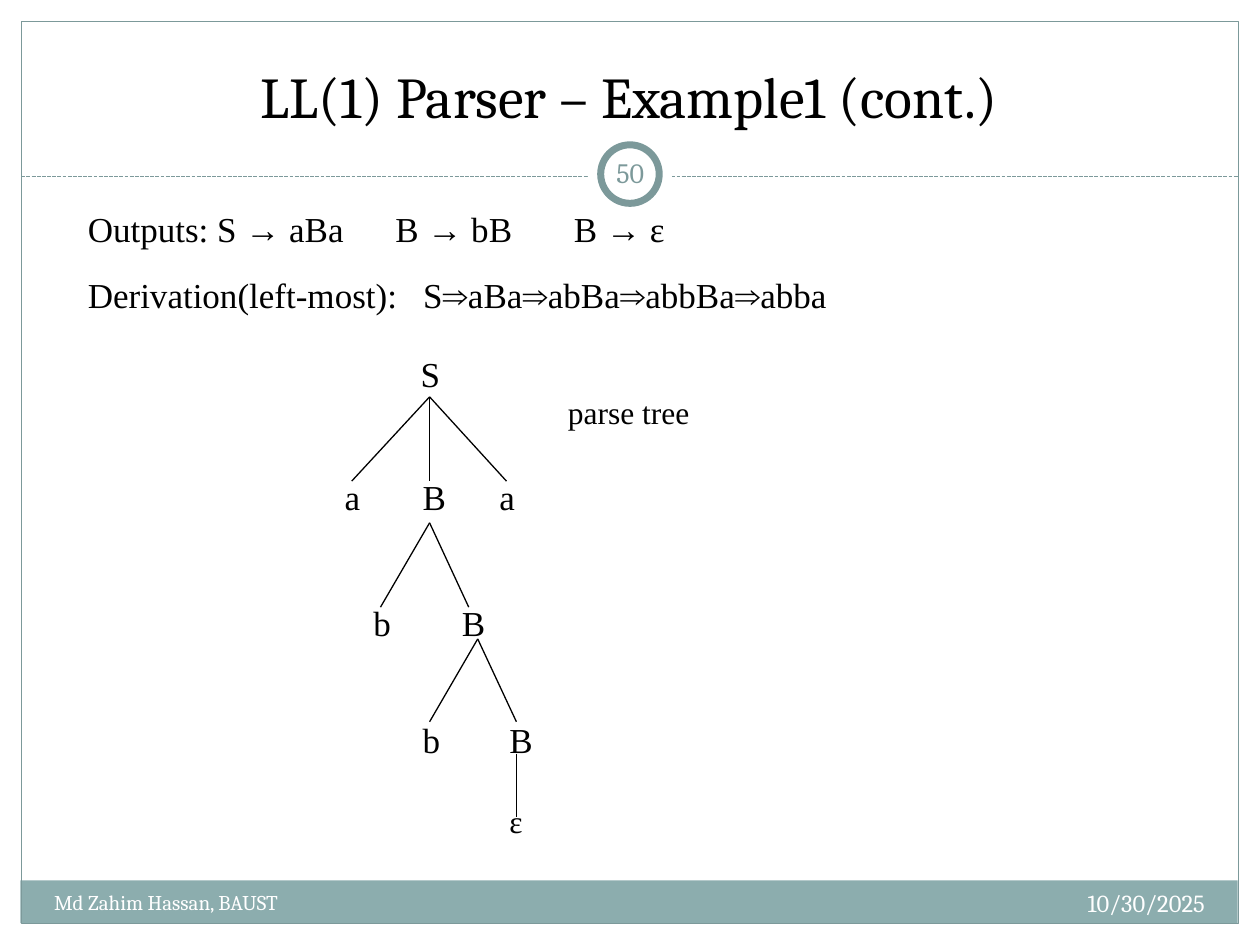
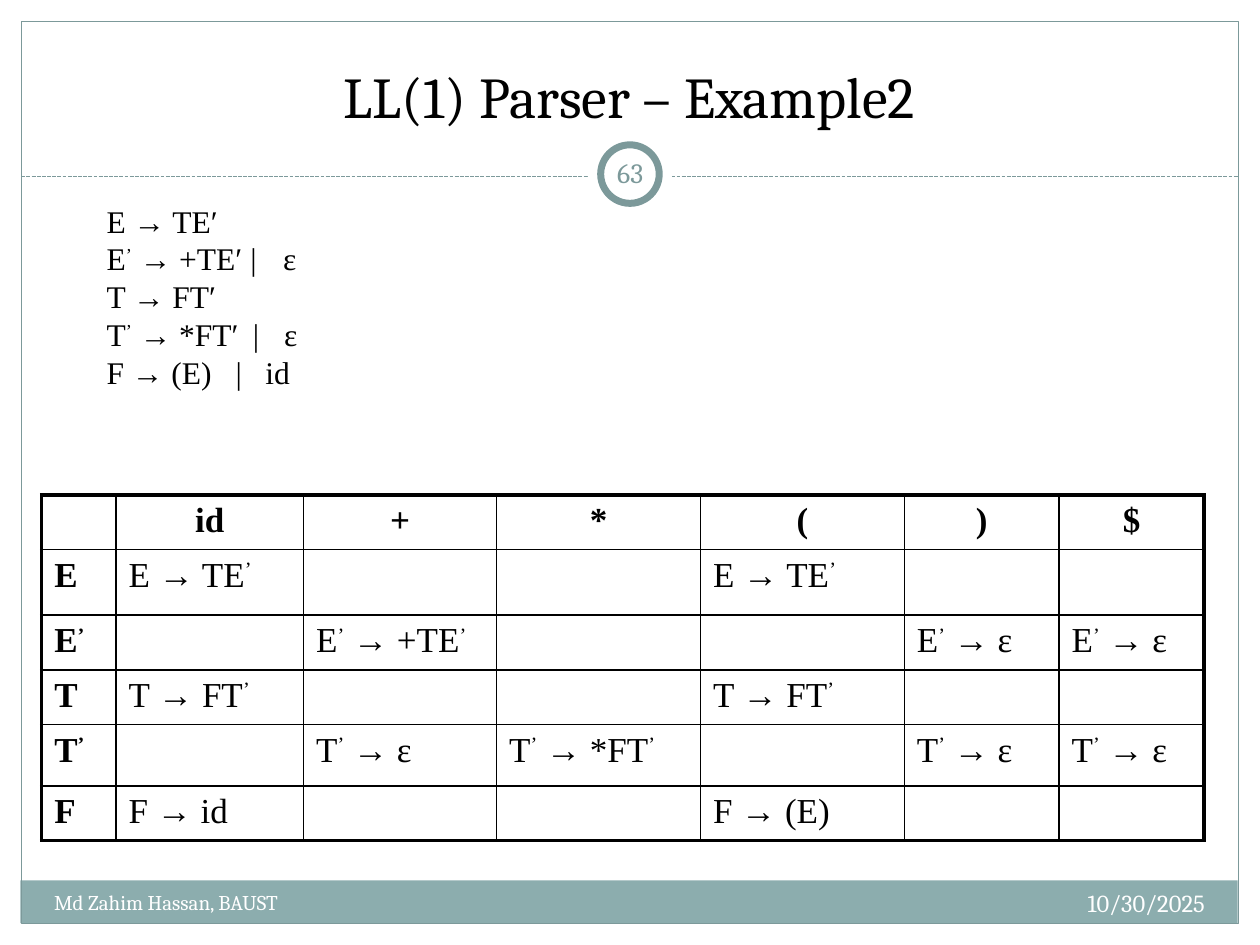
from lxml.etree import SubElement, Element
from pptx import Presentation
from pptx.dml.color import RGBColor
from pptx.enum.dml import MSO_LINE
from pptx.enum.shapes import MSO_CONNECTOR, MSO_SHAPE
from pptx.enum.text import MSO_ANCHOR, PP_ALIGN
from pptx.oxml.ns import qn
from pptx.util import Cm, Pt

COLORS = {k: RGBColor.from_string(v) for k, v in {
    "text": "000000", "white": "FFFFFF", "line": "7C999A", "band": "8CADAE"}.items()}
HEAD, BODY = "Cambria", "Times New Roman"
SLIDES = [("LL(1) Parser – Example1 (cont.)", "50"), ("LL(1) Parser – Example2", "63")]


def write(tf, lines, size, font=BODY, color="text", align=PP_ALIGN.LEFT, bold=False, tabs=()):
    """Fill a text frame, raising every ’; tabs holds the stops in cm for each line."""
    for i, line in enumerate(lines):
        p = tf.paragraphs[0] if i == 0 else tf.add_paragraph()
        p.alignment = align
        if tabs:
            tab_list = SubElement(p._p.get_or_add_pPr(), qn("a:tabLst"))
            for stop in tabs[i]:
                SubElement(tab_list, qn("a:tab"), pos=str(Cm(stop)), algn="l")
        p.font.size, p.font.name, p.font.bold = Pt(size), font, bold
        p.font.color.rgb = COLORS[color]
        for part in line.replace("’", "\n’\n").split("\n"):
            if part:
                r = p.add_run()
                r.text = part
                if part == "’":
                    r._r.get_or_add_rPr().set("baseline", "30000")


def text(s, box, lines, size, anchor=MSO_ANCHOR.TOP, **style):
    tf = s.shapes.add_textbox(*map(Cm, box)).text_frame
    tf.word_wrap = True
    tf.vertical_anchor = anchor
    write(tf, lines, size, **style)
    return tf


prs = Presentation()
prs.slide_width, prs.slide_height = Cm(25.4), Cm(19.05)

# Frame, footer, title and number badge
FRAME = [  # shape, box, fill, line width
    (MSO_SHAPE.RECTANGLE, (0.41, 17.75, 24.54, 0.86), "band", 0),
    (MSO_SHAPE.RECTANGLE, (0.43, 0.43, 24.54, 18.19), None, 0.75),
    (MSO_SHAPE.OVAL, (11.85, 2.66, 1.7, 1.7), "white", 0),
    (MSO_SHAPE.OVAL, (12.11, 2.92, 1.18, 1.18), "white", 4),
]
for title, number in SLIDES:
    s = prs.slides.add_slide(prs.slide_layouts[6])
    rule = s.shapes.add_connector(MSO_CONNECTOR.STRAIGHT, *map(Cm, (0.43, 3.56, 24.97, 3.56)))
    rule.line.color.rgb, rule.line.width = COLORS["line"], Pt(0.75)
    rule.line.dash_style = MSO_LINE.SQUARE_DOT
    SubElement(rule._element.spPr, qn("a:effectLst"))
    for kind, box, fill, width in FRAME:
        sp = s.shapes.add_shape(kind, *map(Cm, box))
        sp.shadow.inherit = False
        if fill:
            sp.fill.solid()
            sp.fill.fore_color.rgb = COLORS[fill]
        else:
            sp.fill.background()
        if width:
            sp.line.color.rgb, sp.line.width = COLORS["line"], Pt(width)
        else:
            sp.line.fill.background()
    text(s, (0.84, 0.64, 23.7, 2.11), [title], 33, MSO_ANCHOR.BOTTOM,
         font=HEAD, align=PP_ALIGN.CENTER)
    text(s, (16.08, 17.78, 8.46, 1.02), ["10/30/2025"], 14,
         font=HEAD, color="white", align=PP_ALIGN.RIGHT)
    text(s, (0.84, 17.81, 9.96, 1.02), ["Md Zahim Hassan, BAUST"], 12, font=HEAD, color="white")
    tf = text(s, (12.07, 2.87, 1.27, 1.22), [number], 16, MSO_ANCHOR.MIDDLE,
              font=HEAD, color="line", align=PP_ALIGN.CENTER)
    tf.margin_left = tf.margin_right = tf.margin_top = tf.margin_bottom = Cm(0.13)

# Slide 1: derivation and parse tree
s = prs.slides[0]
text(s, (1.52, 4.06, 13.34, 1.12), ["Outputs: S → aBa\tB → bB\tB → ε"], 20, tabs=[(6.2, 9.8)])
text(s, (1.52, 5.38, 16.26, 1.12),
     ["Derivation(left-most):\tS⇒aBa⇒abBa⇒abbBa⇒abba"], 20, tabs=[(6.76,)])
text(s, (8.23, 6.99, 1, 1.12), ["S"], 20)
text(s, (11.2, 7.8, 3.1, 1.02), ["parse tree"], 18)

BRANCHES = [  # apex x, apex y, branch end y, label top, label size, children
    (8.66, 8.00, 9.70, 9.47, 20, [("a", 7.09), ("B", 8.66), ("a", 10.21)]),
    (8.66, 10.54, 12.24, 12.01, 20, [("b", 7.67), ("B", 9.45)]),
    (9.63, 12.88, 14.55, 14.35, 20, [("b", 8.66), ("B", 10.41)]),
    (10.41, 15.19, 16.46, 16.05, 18, [("ε", 10.41)]),
]
for x, y, end_y, label_y, size, children in BRANCHES:
    for symbol, child_x in children:
        branch = s.shapes.add_connector(MSO_CONNECTOR.STRAIGHT, *map(Cm, (x, y, child_x, end_y)))
        branch.line.color.rgb, branch.line.width = COLORS["text"], Pt(0.75)
        SubElement(branch._element.spPr, qn("a:effectLst"))
        text(s, (child_x - 0.39, label_y, 1, 1.12), [symbol], size)

# Slide 2: grammar and parsing table
s = prs.slides[1]
text(s, (1.9, 3.94, 4.55, 4.11),
     ["E → TE′", "E’ → +TE′\t|\tε", "T → FT′", "T’ → *FT′\t|\tε", "F → (E)\t|\tid"], 18,
     tabs=[(), (2.9, 3.56), (), (2.95, 3.58), (2.6, 3.2)])

TABLE = [
    ["", "id", "+", "*", "(", ")", "$"],
    ["E", "E → TE’", "", "", "E → TE’", "", ""],
    ["E’", "", "E’ → +TE’", "", "", "E’ → ε", "E’ → ε"],
    ["T", "T → FT’", "", "", "T → FT’", "", ""],
    ["T’", "", "T’ → ε", "T’ → *FT’", "", "T’ → ε", "T’ → ε"],
    ["F", "F → id", "", "", "F → (E)", "", ""],
]
COLS = [1.5, 3.78, 3.89, 4.11, 4.11, 3.12, 2.92]
ROWS = [1.1, 1.32, 1.1, 1.1, 1.24, 1.1]
table = s.shapes.add_table(len(ROWS), len(COLS), Cm(0.84), Cm(9.98),
                           Cm(sum(COLS)), Cm(sum(ROWS))).table
table.first_row = table.horz_banding = False
for col, width in zip(table.columns, COLS):
    col.width = Cm(width)
for i, (row, height) in enumerate(zip(table.rows, ROWS)):
    row.height = Cm(height)
    for j, cell in enumerate(row.cells):
        write(cell.text_frame, [TABLE[i][j]], 20, bold=i == 0 or j == 0,
              align=PP_ALIGN.CENTER if i == 0 else PP_ALIGN.LEFT)
        cell.fill.background()
        outer = {"L": j == 0, "R": j == len(COLS) - 1, "T": i == 0, "B": i == len(ROWS) - 1}
        for k, (side, is_outer) in enumerate(outer.items()):
            ln = Element(qn(f"a:ln{side}"), w=str(Pt(2.25 if is_outer else 1)))
            fill = SubElement(ln, qn("a:solidFill"))
            SubElement(fill, qn("a:srgbClr"), val=str(COLORS["text"]))
            cell._tc.get_or_add_tcPr().insert(k, ln)

prs.save("out.pptx")
